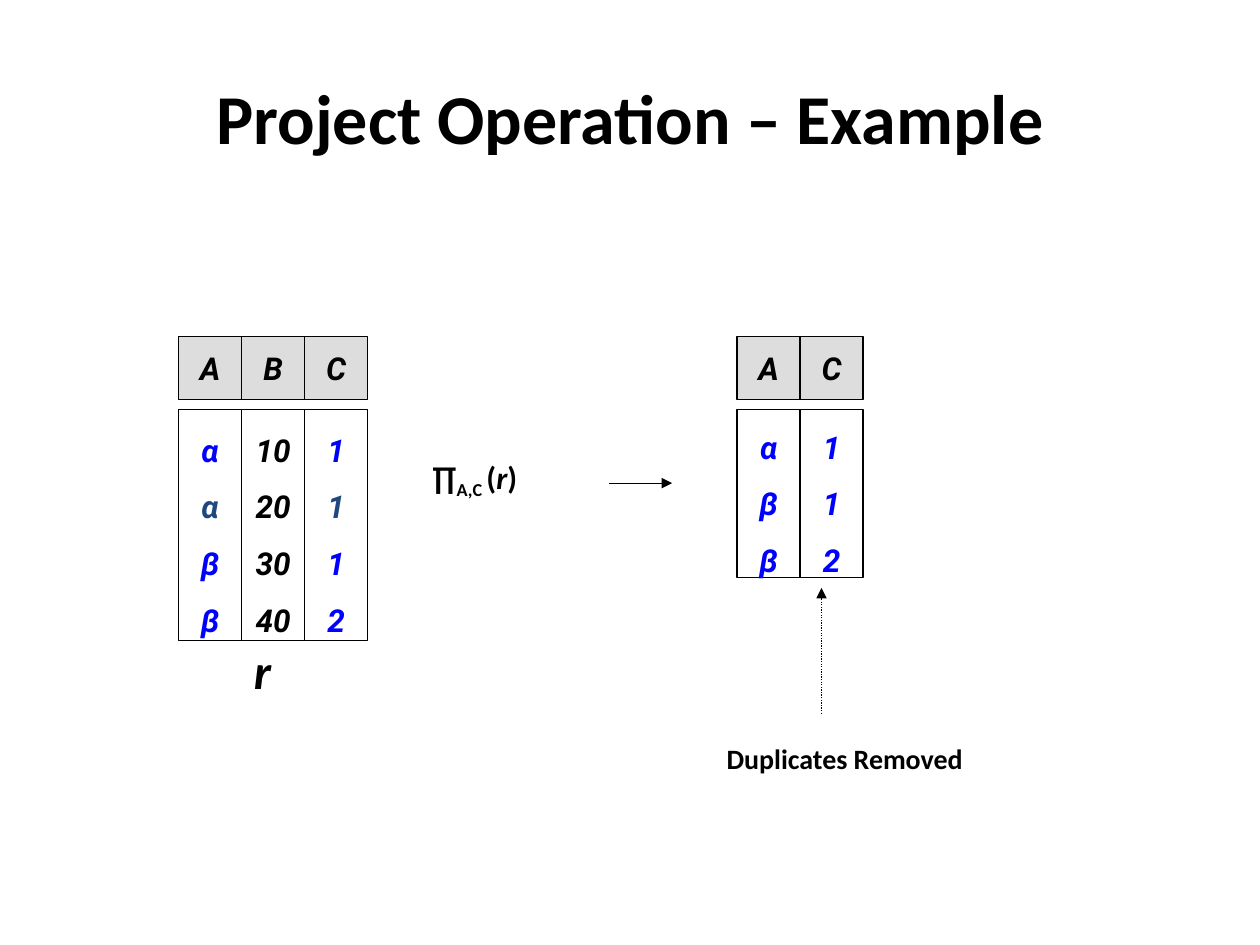
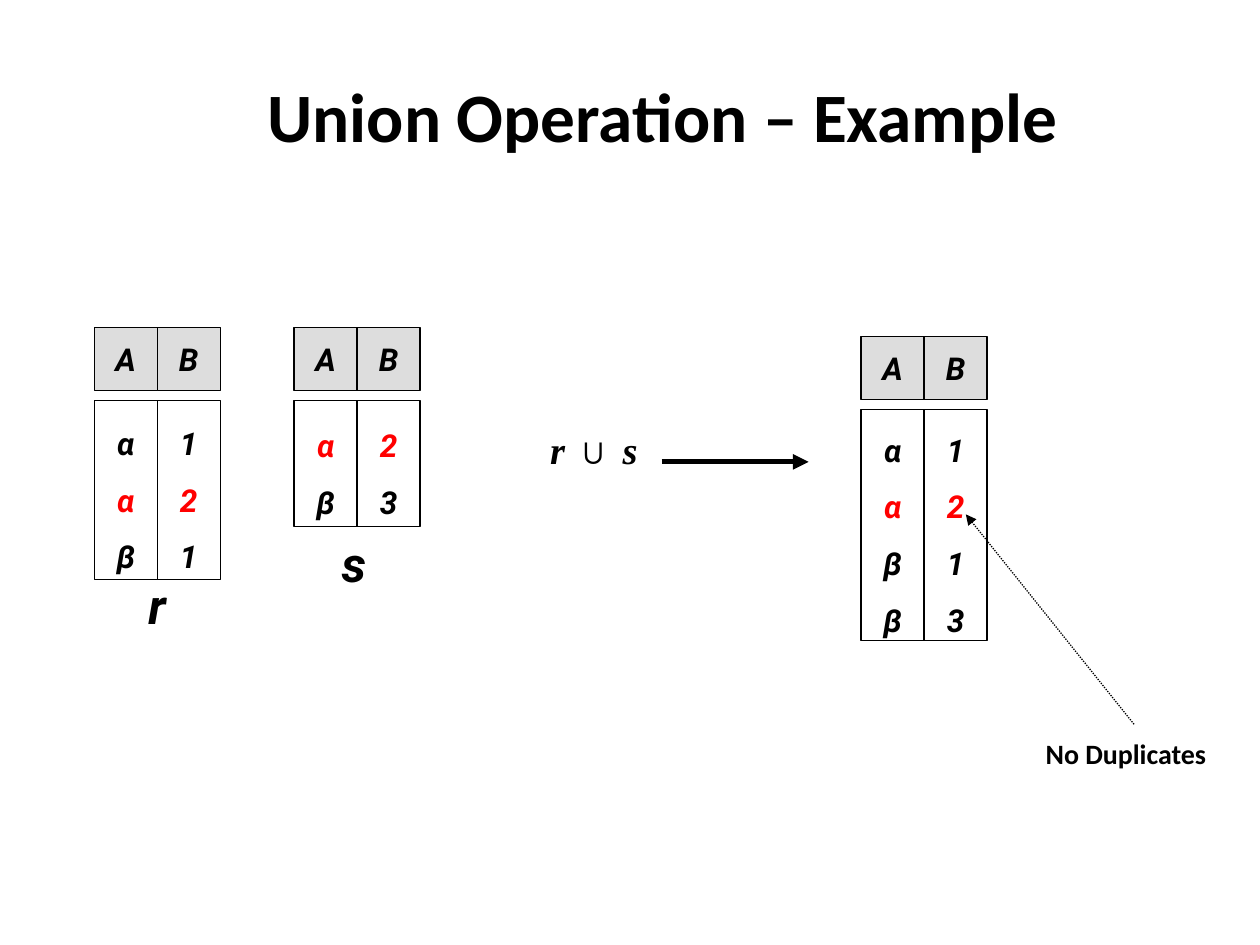
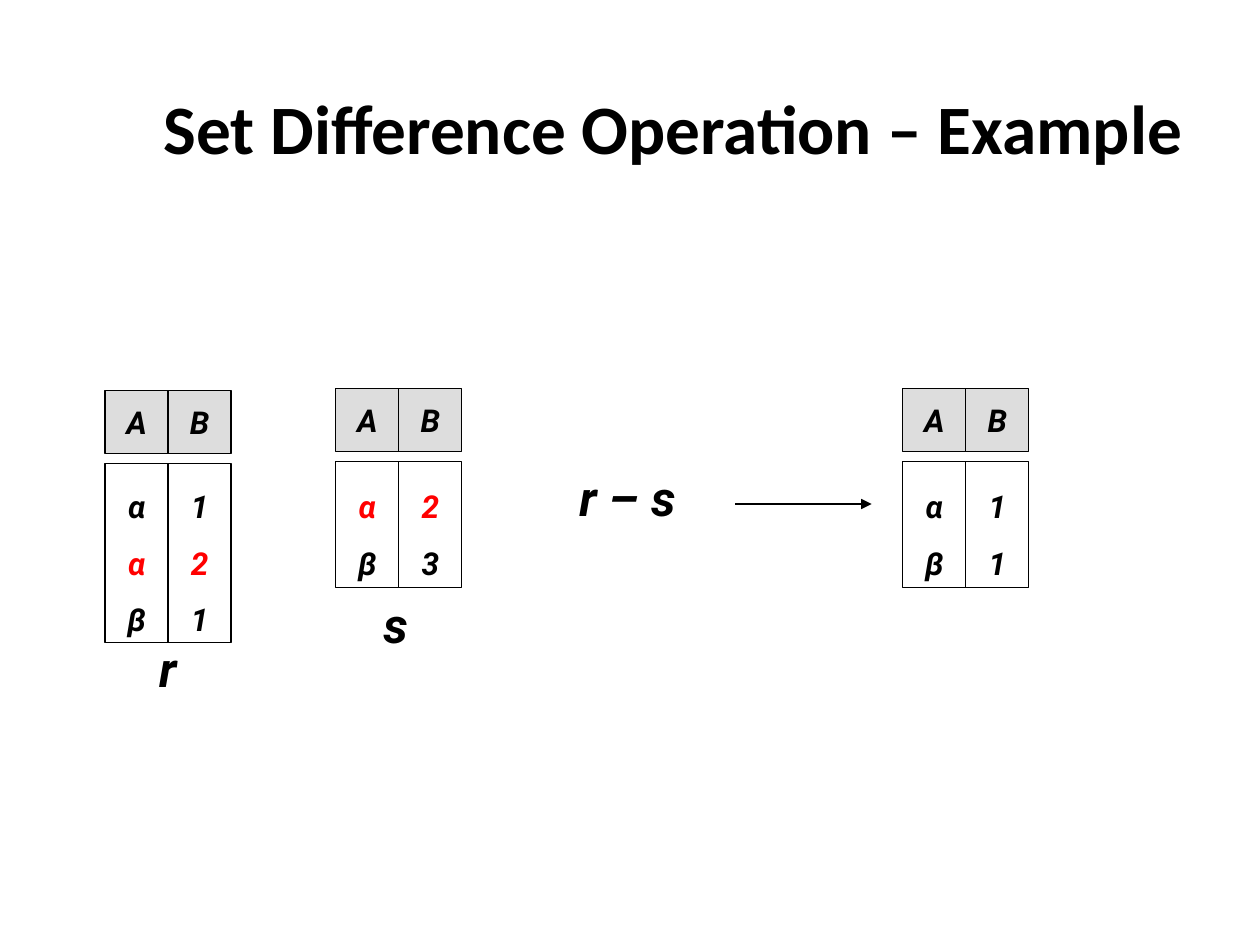
from pptx import Presentation
from pptx.dml.color import RGBColor
from pptx.enum.dml import MSO_LINE
from pptx.enum.shapes import MSO_CONNECTOR, MSO_SHAPE
from pptx.enum.text import MSO_ANCHOR, MSO_AUTO_SIZE, PP_ALIGN
from pptx.oxml.ns import qn
from pptx.util import Cm, Pt
from lxml.etree import SubElement

BLACK = RGBColor(0x00, 0x00, 0x00)
WHITE = RGBColor(0xFF, 0xFF, 0xFF)
GREY = RGBColor(0xDD, 0xDD, 0xDD)
BLUE = RGBColor(0x00, 0x00, 0xFF)
NAVY = RGBColor(0x1F, 0x49, 0x7D)
RED = RGBColor(0xFF, 0x00, 0x00)

CELL = 1.27
STEP = 1.48

HEAD = {"name": "Calibri", "size": Pt(40), "bold": True}
ITEM = {"name": "Roboto", "size": Pt(18), "bold": True, "italic": True}
NAME = {**ITEM, "size": Pt(28)}
NOTE = {"name": "Calibri", "size": Pt(16), "bold": True}
TERM = {**NOTE, "size": Pt(18)}
MATH = {"name": "Times New Roman", "size": Pt(22), "bold": True}
SLANT = {"italic": True}

MIDDLE = {"vertical_anchor": MSO_ANCHOR.MIDDLE}
TIGHT = {"word_wrap": False}
GROW = {**TIGHT, "auto_size": MSO_AUTO_SIZE.SHAPE_TO_FIT_TEXT}
CENTRE = {"alignment": PP_ALIGN.CENTER}
LOOSE = {**CENTRE, "line_spacing": 1.5}


def style(thing, values):
    """Set each named attribute of a thing."""
    for key, value in values.items():
        setattr(thing, key, value)


def write(para, text, font, ink=BLACK):
    """Add one run to a paragraph."""
    run = para.add_run()
    run.text = text
    style(run.font, font)
    run.font.color.rgb = ink
    return run


def label(slide, box, text, font, frame=GROW, form=None):
    """Add a text box, with text as a string or as pairs of text and font changes."""
    area = slide.shapes.add_textbox(*map(Cm, box)).text_frame
    style(area, {"word_wrap": True, **frame})
    para = area.paragraphs[0]
    style(para, form or {})
    parts = [(text, {})] if isinstance(text, str) else text
    return [write(para, part, {**font, **more}) for part, more in parts]


def title(slide, box, text, size=40):
    """Add the slide title."""
    label(slide, box, text, {**HEAD, "size": Pt(size)}, MIDDLE, CENTRE)


def name(slide, box, text):
    """Add the name below a relation."""
    label(slide, box, text, NAME, {**GROW, **MIDDLE}, CENTRE)


def cell(slide, box, fill, lines, form):
    """Add a bordered box with one paragraph for each text and ink."""
    shape = slide.shapes.add_shape(MSO_SHAPE.RECTANGLE, *map(Cm, box))
    shape.shadow.inherit = False
    shape.fill.solid()
    shape.fill.fore_color.rgb = fill
    shape.line.color.rgb = BLACK
    shape.line.width = Pt(0.75)
    area = shape.text_frame
    style(area, {**TIGHT, **MIDDLE})
    for row, (text, ink) in enumerate(lines):
        para = area.add_paragraph() if row else area.paragraphs[0]
        style(para, form)
        write(para, text, ITEM, ink)


def table(slide, box, heads, rows, plain=""):
    """Draw a relation as head cells above one tall box for each column."""
    left, top, tall = box
    for col, head in enumerate(heads):
        x = left + col * CELL
        cell(slide, (x, top, CELL, CELL), GREY, [(head, BLACK)], CENTRE)
        lines = [(text.split()[col], BLACK if head in plain else ink)
                 for text, ink in rows]
        cell(slide, (x, top + STEP, CELL, tall - STEP), WHITE, lines, LOOSE)


def arrow(slide, start, end, width=0.75, dash=None):
    """Draw a line with a triangle at its end."""
    link = slide.shapes.add_connector(
        MSO_CONNECTOR.STRAIGHT, *map(Cm, (*start, *end)))
    link.line.color.rgb = BLACK
    style(link.line, {"width": Pt(width), "dash_style": dash})
    props = link._element.spPr
    SubElement(props.find(qn("a:ln")), qn("a:tailEnd"), type="triangle")
    SubElement(props, qn("a:effectLst"))


def project(slide):
    """Build the project example."""
    title(slide, (1.27, 0.76, 22.86, 3.18), "Project Operation – Example")
    table(slide, (3.6, 6.78, 6.13), "ABC",
          [("α 10 1", BLUE), ("α 20 1", NAVY), ("β 30 1", BLUE), ("β 40 2", BLUE)],
          plain="B")
    runs = label(slide, (8.46, 9.1, 4, 1.63),
                 [("∏", {}), ("A,C ", {}), ("(", {}), ("r", SLANT), (")", {})],
                 TERM, {})
    runs[1]._r.get_or_add_rPr().set("baseline", "-25000")
    label(slide, (4.87, 12.78, 0.94, 1.45), "r", {**NAME, "name": "Calibri"})
    arrow(slide, (12.28, 9.74), (13.55, 9.74))
    table(slide, (14.86, 6.78, 4.87), "AC",
          [("α 1", BLUE), ("β 1", BLUE), ("β 2", BLUE)])
    label(slide, (14.4, 14.82, 5.33, 0.94), "Duplicates Removed", NOTE)
    arrow(slide, (16.56, 14.39), (16.56, 11.85), dash=MSO_LINE.ROUND_DOT)


def pair(slide, first, second):
    """Draw relations r and s with their names, each from its left top corner."""
    left, top = first
    table(slide, (left, top, 5.08), "AB",
          [("α 1", BLACK), ("α 2", RED), ("β 1", BLACK)])
    name(slide, (left + 0.82, top + 4.88, 0.89, 1.45), "r")
    left, top = second
    table(slide, (left, top, 4.02), "AB", [("α 2", RED), ("β 3", BLACK)])
    name(slide, (left + 0.67, top + 4.02, 1.07, 1.45), "s")


def union(slide):
    """Build the union example."""
    title(slide, (2.54, 1.47, 21.64, 1.7), "Union Operation – Example", 39.6)
    label(slide, (10.84, 8.46, 2.5, 1.47),
          [("r ", SLANT), ("∪", {}), (" s", SLANT)], MATH, {})
    pair(slide, (1.9, 6.6), (5.93, 6.6))
    label(slide, (20.83, 14.73, 3.94, 0.94), "No Duplicates", NOTE)
    table(slide, (17.36, 6.78, 6.13), "AB",
          [("α 1", BLACK), ("α 2", RED), ("β 1", BLACK), ("β 3", BLACK)])
    arrow(slide, (13.34, 9.31), (16.3, 9.31), 3)
    arrow(slide, (22.86, 14.6), (19.47, 10.37), dash=MSO_LINE.ROUND_DOT)


def minus(slide):
    """Build the set difference example."""
    title(slide, (2.75, 1.7, 21.64, 1.7), "Set Difference Operation – Example", 39.6)
    label(slide, (11.43, 9.31, 2.96, 1.27), "r – s", NAME, {})
    pair(slide, (2.12, 7.87), (6.77, 7.83))
    table(slide, (18.2, 7.83, 4.02), "AB", [("α 1", BLACK), ("β 1", BLACK)])
    arrow(slide, (14.82, 10.16), (17.57, 10.16))


def main():
    """Build and save the deck."""
    deck = Presentation()
    style(deck, {"slide_width": Cm(25.4), "slide_height": Cm(19.05)})
    for build in (project, union, minus):
        build(deck.slides.add_slide(deck.slide_layouts[6]))
    deck.save("out.pptx")


if __name__ == "__main__":
    main()
